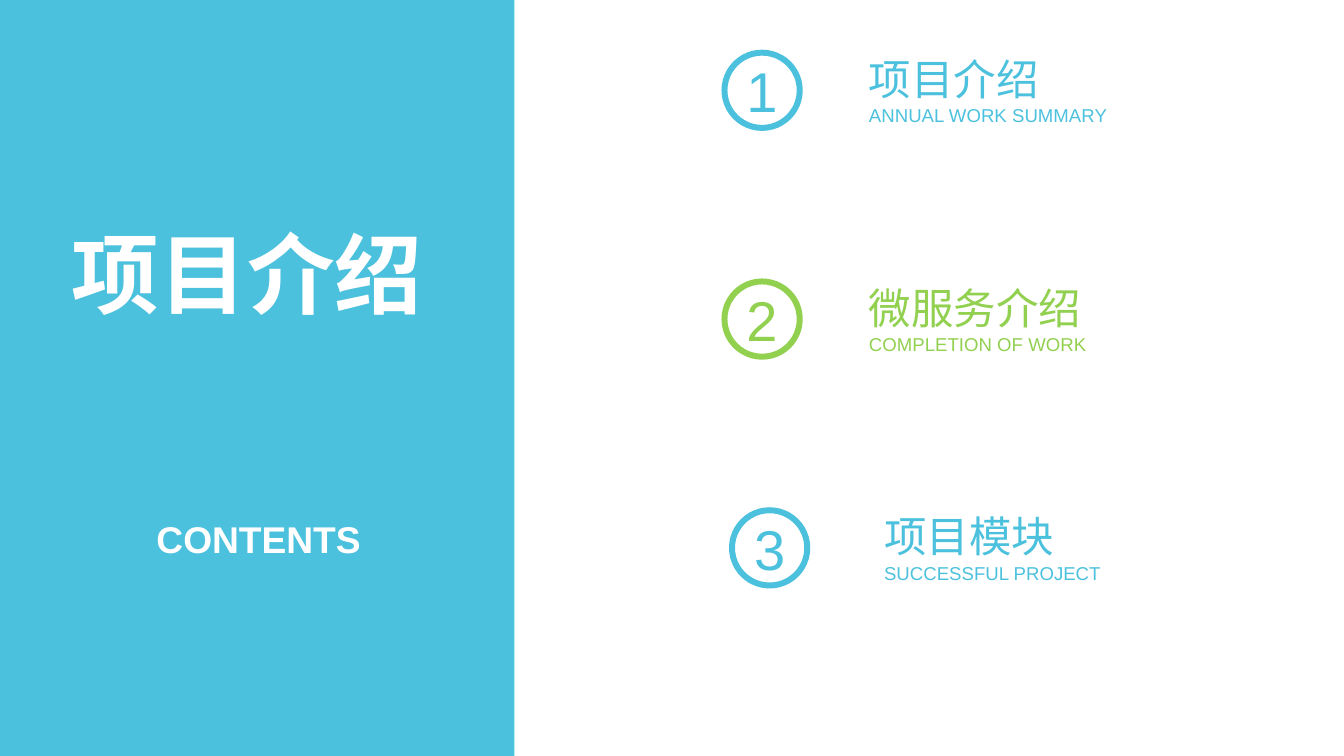
from pptx import Presentation
from pptx.dml.color import RGBColor
from pptx.enum.shapes import MSO_SHAPE
from pptx.enum.text import MSO_ANCHOR, PP_ALIGN
from pptx.util import Cm, Pt

BLUE, GREEN, WHITE = "4BC1DD", "92D050", "FFFFFF"


def color(value):
    return RGBColor.from_string(value)


def write(shape, lines, hue, align, bold=False):
    frame = shape.text_frame
    frame.word_wrap = True
    frame.vertical_anchor = MSO_ANCHOR.MIDDLE
    frame.margin_left = frame.margin_right = 0
    frame.margin_top = frame.margin_bottom = 0
    for index, (text, size) in enumerate(lines):
        para = frame.paragraphs[0] if index == 0 else frame.add_paragraph()
        para.text = text
        para.alignment = align
        para.font.name = "Arial"
        para.font.size = Pt(size)
        para.font.bold = bold
        para.font.color.rgb = color(hue)


deck = Presentation()
deck.slide_width, deck.slide_height = Cm(35.71), Cm(20.09)
page = deck.slides.add_slide(deck.slide_layouts[6])

panel = page.shapes.add_shape(MSO_SHAPE.RECTANGLE, 0, 0, Cm(13.67), deck.slide_height)
panel.shadow.inherit = False
panel.fill.solid()
panel.fill.fore_color.rgb = color(BLUE)
panel.line.fill.background()

heading = page.shapes.add_textbox(Cm(1.27), Cm(5.82), Cm(10.59), Cm(2.82))
write(heading, [("项目介绍", 66)], WHITE, PP_ALIGN.CENTER, bold=True)
contents = page.shapes.add_textbox(Cm(3.53), Cm(13.72), Cm(6.68), Cm(1.19))
write(contents, [("CONTENTS", 28)], WHITE, PP_ALIGN.CENTER, bold=True)

chapters = [
    ("项目介绍", "ANNUAL WORK SUMMARY", BLUE, 19.25, 23.09, 7.52),
    ("微服务介绍", "COMPLETION OF WORK", GREEN, 19.25, 23.09, 11.86),
    ("项目模块", "SUCCESSFUL PROJECT", BLUE, 19.45, 23.49, 7.52),
]
for number, (title, subtitle, hue, badge_left, title_left, width) in enumerate(chapters, 1):
    top = Cm(1.4 + 6.08 * (number - 1))
    badge = page.shapes.add_shape(MSO_SHAPE.OVAL, Cm(badge_left), top, Cm(2), Cm(2))
    badge.shadow.inherit = False
    badge.fill.solid()
    badge.fill.fore_color.rgb = color(WHITE)
    badge.line.color.rgb = color(hue)
    badge.line.width = Pt(4.5)
    write(badge, [(str(number), 42.2)], hue, PP_ALIGN.CENTER)
    box = page.shapes.add_textbox(Cm(title_left), top, Cm(width), Cm(1.96))
    write(box, [(title, 32), (subtitle, 14)], hue, PP_ALIGN.LEFT)

deck.save("out.pptx")
